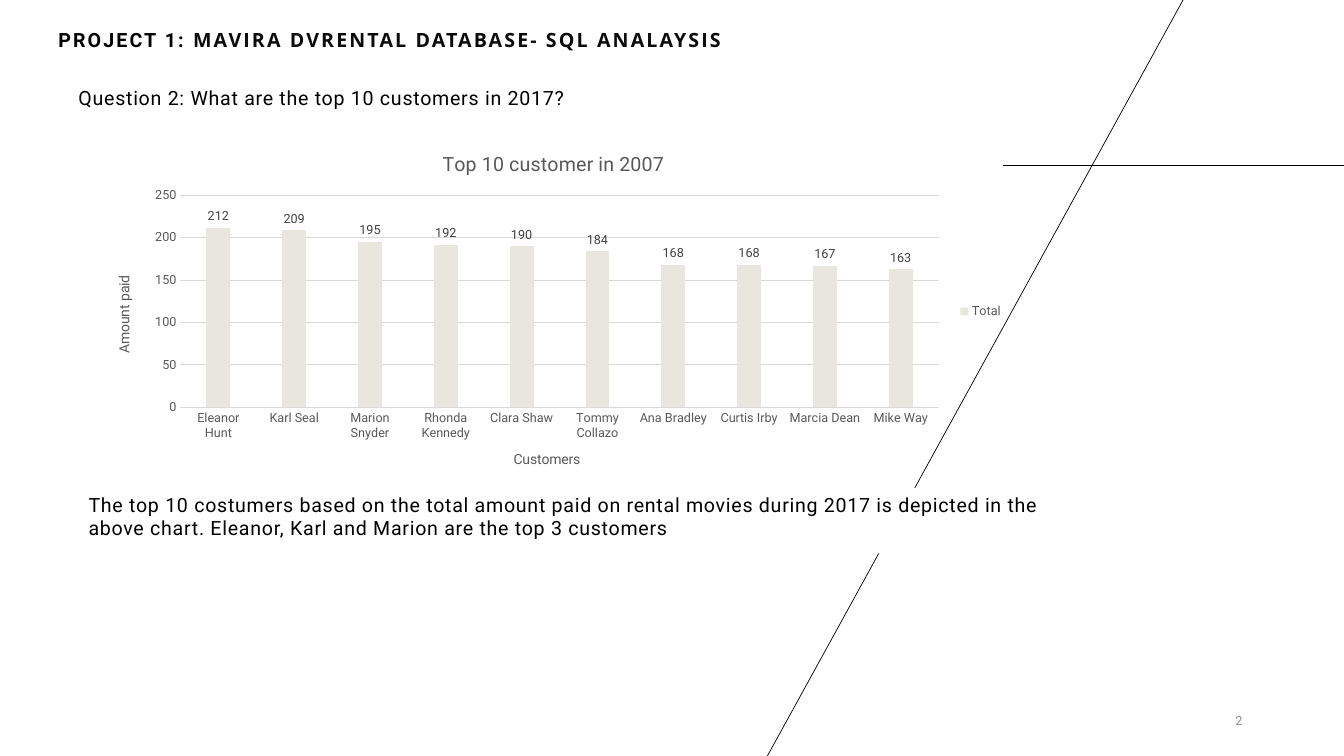
from lxml import etree
from pptx import Presentation
from pptx.chart.data import CategoryChartData
from pptx.dml.color import RGBColor
from pptx.enum.chart import XL_CHART_TYPE, XL_LABEL_POSITION, XL_LEGEND_POSITION, XL_TICK_MARK
from pptx.enum.shapes import MSO_CONNECTOR, MSO_SHAPE
from pptx.enum.text import MSO_ANCHOR, PP_ALIGN
from pptx.oxml import parse_xml
from pptx.oxml.ns import nsdecls, qn
from pptx.util import Inches, Pt

COLUMN = XL_CHART_TYPE.COLUMN_CLUSTERED
OUTSIDE = XL_LABEL_POSITION.OUTSIDE_END
RIGHT = XL_LEGEND_POSITION.RIGHT
NO_TICK = XL_TICK_MARK.NONE
STRAIGHT = MSO_CONNECTOR.STRAIGHT
RECT = MSO_SHAPE.RECTANGLE
TOP, MIDDLE = MSO_ANCHOR.TOP, MSO_ANCHOR.MIDDLE
LEFT_TEXT, RIGHT_TEXT = PP_ALIGN.LEFT, PP_ALIGN.RIGHT

BLACK = RGBColor(0x00, 0x00, 0x00)
INK = RGBColor(0x0B, 0x0B, 0x0B)
WHITE = RGBColor(0xFF, 0xFF, 0xFF)
GRAY = RGBColor(0x8C, 0x8C, 0x8C)
LABEL = RGBColor(0x40, 0x40, 0x40)
AXIS = RGBColor(0x59, 0x59, 0x59)
GRID = RGBColor(0xD9, 0xD9, 0xD9)
BAR = RGBColor(0xE9, 0xE6, 0xDF)


def style(font, size, color, face="Roboto", bold=False):
    font.size = Pt(size)
    font.name = face
    font.bold = bold
    font.color.rgb = color


def write(shape, runs, anchor=TOP, align=LEFT_TEXT, gap=0):
    frame = shape.text_frame
    frame.word_wrap = True
    frame.vertical_anchor = anchor
    para = frame.paragraphs[0]
    para.alignment = align
    for text, size, color, face, bold in runs:
        run = para.add_run()
        run.text = text
        style(run.font, size, color, face, bold)
        if gap:
            run.font._element.set("spc", str(gap))
    return frame


prs = Presentation()
prs.slide_width = Inches(13.33)
prs.slide_height = Inches(7.5)
slide = prs.slides.add_slide(prs.slide_layouts[6])
shapes = slide.shapes

for x1, y1, x2, y2 in [(9.95, 1.64, 13.33, 1.64), (11.75, -0.03, 7.6, 7.52)]:
    line = shapes.add_connector(STRAIGHT, Inches(x1), Inches(y1), Inches(x2), Inches(y2))
    line.line.color.rgb = BLACK
    line.line.width = Pt(0.5)
    etree.SubElement(line._element.spPr, qn("a:effectLst"))

title = shapes.add_textbox(Inches(0.48), Inches(0.15), Inches(10.93), Inches(0.65))
frame = write(title, [
    ("PROJECT 1: ", 14, BLACK, "Roboto", True),
    ("MAVIRA DVRENTAL DATABASE- SQL ANALAYSIS", 14, INK, "Open Sans", True),
], MIDDLE, gap=150)
frame.margin_bottom = Inches(0.18)
frame.paragraphs[0].line_spacing = 0.9

ask = shapes.add_textbox(Inches(0.68), Inches(0.8), Inches(7.33), Inches(0.65))
write(ask, [("Question 2: What are the top 10 customers in 2017?", 14, BLACK, "Roboto", False)], gap=50)

page = shapes.add_textbox(Inches(9.42), Inches(6.95), Inches(3), Inches(0.4))
write(page, [("2", 9, GRAY, "Roboto", False)], MIDDLE, RIGHT_TEXT)

note = shapes.add_shape(RECT, Inches(0.78), Inches(4.84), Inches(9.64), Inches(0.65))
note.shadow.inherit = False
note.fill.solid()
note.fill.fore_color.rgb = WHITE
note.line.fill.background()
write(note, [(
    "The top 10 costumers based on the total amount paid on rental movies during 2017 "
    "is depicted in the above chart. Eleanor, Karl and Marion are the top 3 customers",
    14, BLACK, "Roboto", False)], gap=50)

data = CategoryChartData(number_format="#,##0")
data.categories = [
    "Eleanor Hunt", "Karl Seal", "Marion Snyder", "Rhonda Kennedy", "Clara Shaw",
    "Tommy Collazo", "Ana Bradley", "Curtis Irby", "Marcia Dean", "Mike Way"]
data.add_series("Total", [212, 209, 195, 192, 190, 184, 168, 168, 167, 163])
wide, high = 9.12, 3.52
chart = shapes.add_chart(
    COLUMN, Inches(0.93), Inches(1.33), Inches(wide), Inches(high), data).chart
style(chart.font, 10, BLACK)

names = [(chart, "Top 10 customer in 2007", 14),
         (chart.category_axis, "Customers", 10),
         (chart.value_axis, "Amount paid", 10)]
for owner, text, size in names:
    head = owner.chart_title if owner is chart else owner.axis_title
    run = head.text_frame.paragraphs[0].add_run()
    run.text = text
    style(run.font, size, AXIS)
chart.chart_title.include_in_layout = False

for axis in (chart.category_axis, chart.value_axis):
    axis.major_tick_mark = NO_TICK
    axis.minor_tick_mark = NO_TICK
    style(axis.tick_labels.font, 9, AXIS)
base = chart.category_axis.format.line
rule = chart.value_axis.major_gridlines.format.line
for edge in (base, rule):
    edge.color.rgb = GRID
    edge.width = Pt(0.75)
scale = chart.value_axis
scale.format.line.fill.background()
scale.minimum_scale = 0
scale.maximum_scale = 250
scale.major_unit = 50
scale.tick_labels.number_format = "#,##0"
scale.tick_labels.number_format_is_linked = False

chart.has_legend = True
chart.legend.position = RIGHT
chart.legend.include_in_layout = False
style(chart.legend.font, 9, AXIS)

plot = chart.plots[0]
plot.vary_by_categories = False
plot.gap_width = 219
plot.overlap = -27
bars = plot.series[0]
bars.format.fill.solid()
bars.format.fill.fore_color.rgb = BAR
tags = bars.data_labels
tags.show_value = True
tags.position = OUTSIDE
tags.number_format = "#,##0"
tags.number_format_is_linked = False
style(tags.font, 9, LABEL)

area = chart._chartSpace.chart.plotArea
for old in area.findall(qn("c:layout")):
    area.remove(old)
area.insert(0, parse_xml(
    f'<c:layout {nsdecls("c")}><c:manualLayout><c:layoutTarget val="inner"/>'
    '<c:xMode val="edge"/><c:yMode val="edge"/>'
    f'<c:x val="{0.86 / wide}"/><c:y val="{0.61 / high}"/>'
    f'<c:w val="{7.52 / wide}"/><c:h val="{2.1 / high}"/>'
    '</c:manualLayout></c:layout>'))

prs.save("out.pptx")
